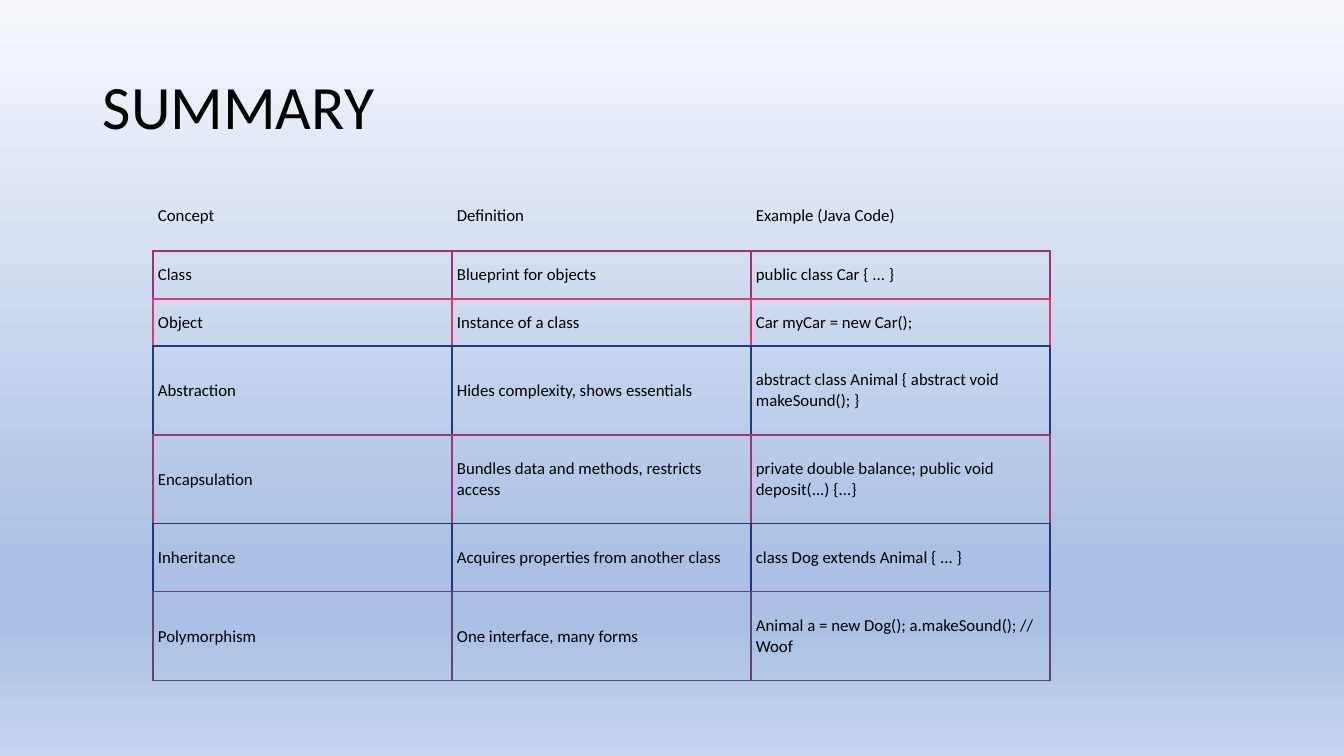
from pptx import Presentation
from pptx.dml.color import RGBColor
from pptx.enum.text import MSO_ANCHOR as Anchor
from pptx.oxml import parse_xml
from pptx.oxml.ns import nsdecls, qn
from pptx.util import Pt

PX = 914400 / 100.8
BLACK = RGBColor(0, 0, 0)
PALE = RGBColor(0xF6, 0xF8, 0xFC)
BLUE = RGBColor(0xAB, 0xC0, 0xE4)
LIGHT = RGBColor(0xC7, 0xD5, 0xED)
PLUM = RGBColor(0xA0, 0x2E, 0x78)
PINK = RGBColor(0xE0, 0x36, 0x78)
NAVY = RGBColor(0x20, 0x3F, 0x78)
ROSE = RGBColor(0xA0, 0x36, 0x78)
INK = RGBColor(0x20, 0x38, 0x78)
GRAPE = RGBColor(0x60, 0x43, 0x78)
NO_STYLE = "{2D5ABB26-0587-4C30-8999-92F81FD0307C}"

STOPS = [(0, PALE), (74, BLUE), (83, BLUE), (100, LIGHT)]
ROWS = [
    (50, None, "Concept", "Definition", "Example (Java Code)"),
    (48, PLUM, "Class", "Blueprint for objects", "public class Car { ... }"),
    (47, PINK, "Object", "Instance of a class", "Car myCar = new Car();"),
    (89, NAVY, "Abstraction", "Hides complexity, shows essentials",
     "abstract class Animal { abstract void makeSound(); }"),
    (89, ROSE, "Encapsulation", "Bundles data and methods, restricts access",
     "private double balance; public void deposit(...) {...}"),
    (68, INK, "Inheritance", "Acquires properties from another class",
     "class Dog extends Animal { ... }"),
    (89, GRAPE, "Polymorphism", "One interface, many forms",
     "Animal a = new Dog(); a.makeSound(); // Woof"),
]


def px(*sizes):
    return [round(size * PX) for size in sizes]


def style(para, size):
    para.font.name = "Calibri"
    para.font.size = Pt(size)
    para.font.color.rgb = BLACK


deck = Presentation()
deck.slide_width, deck.slide_height = px(1344, 756)
slide = deck.slides.add_slide(deck.slide_layouts[6])

stops = "".join(
    f'<a:gs pos="{pos * 1000}"><a:srgbClr val="{color}"/></a:gs>'
    for pos, color in STOPS)
slide.element.cSld.insert(0, parse_xml(
    f'<p:bg {nsdecls("p", "a")}><p:bgPr><a:gradFill rotWithShape="1">'
    f'<a:gsLst>{stops}</a:gsLst><a:lin ang="5400000" scaled="0"/>'
    '</a:gradFill><a:effectLst/></p:bgPr></p:bg>'))

title = slide.shapes.add_textbox(*px(93, 37, 1159, 146)).text_frame
title.word_wrap = True
title.vertical_anchor = Anchor.MIDDLE
title.text = "SUMMARY"
title.paragraphs[0].line_spacing = 0.9
style(title.paragraphs[0], 44)

frame = slide.shapes.add_table(len(ROWS), 3, *px(153, 201, 897, 480))
table = frame.table
table.first_row = False
table.horz_banding = False
table._tbl.tblPr.find(qn("a:tableStyleId")).text = NO_STYLE
for col in table.columns:
    col.width = px(299)[0]

colors = [row[1] for row in ROWS] + [GRAPE]
for r, (height, color, *texts) in enumerate(ROWS):
    table.rows[r].height = px(height)[0]
    edges = {"L": color, "R": color, "T": color, "B": colors[r + 1]}
    for c, text in enumerate(texts):
        cell = table.cell(r, c)
        cell.text = text
        style(cell.text_frame.paragraphs[0], 12)
        cell.vertical_anchor = Anchor.MIDDLE if r else Anchor.TOP
        cell.margin_left, cell.margin_right = px(5, 5)
        cell.margin_top, cell.margin_bottom = px(3, 3) if r else px(5, 5)
        props = cell._tc.get_or_add_tcPr()
        for side, shade in edges.items():
            if shade is not None:
                props.append(parse_xml(
                    f'<a:ln{side} {nsdecls("a")} w="{Pt(1)}"><a:solidFill>'
                    f'<a:srgbClr val="{shade}"/></a:solidFill></a:ln{side}>'))
        cell.fill.background()

deck.save("out.pptx")
